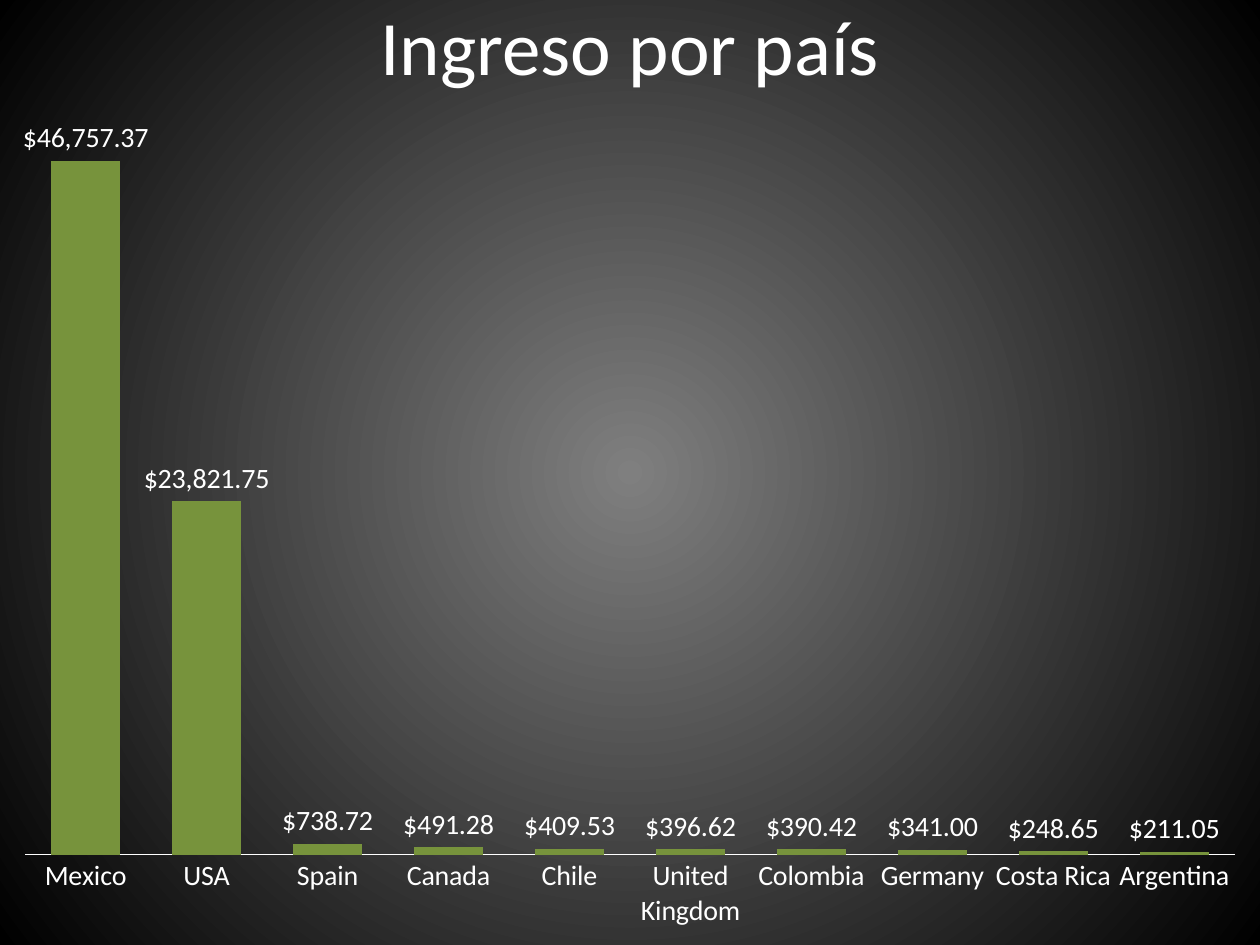
"""Build a slide with a column chart of income by country."""
from lxml import etree
from pptx import Presentation
from pptx.chart.data import CategoryChartData
from pptx.dml.color import RGBColor
from pptx.enum.chart import XL_CHART_TYPE, XL_LABEL_POSITION, XL_TICK_MARK
from pptx.enum.text import MSO_ANCHOR, PP_ALIGN
from pptx.oxml.ns import qn
from pptx.util import Pt

COLUMNS = XL_CHART_TYPE.COLUMN_CLUSTERED
OUTSIDE_END = XL_LABEL_POSITION.OUTSIDE_END
NO_TICKS = XL_TICK_MARK.NONE
MIDDLE = MSO_ANCHOR.MIDDLE
CENTER = PP_ALIGN.CENTER

COLORS = {"center": "7F7F7F", "edge": "000000", "text": "FFFFFF", "bars": "77933C"}
FONT = "Calibri"
MONEY = '"$"#,##0.00'
INCOME = {
    "Mexico": 46757.37,
    "USA": 23821.75,
    "Spain": 738.72,
    "Canada": 491.28,
    "Chile": 409.53,
    "United Kingdom": 396.62,
    "Colombia": 390.42,
    "Germany": 341.00,
    "Costa Rica": 248.65,
    "Argentina": 211.05,
}


def style_font(font, size):
    font.name = FONT
    font.size = Pt(size)
    font.color.rgb = RGBColor.from_string(COLORS["text"])


presentation = Presentation()
presentation.slide_width, presentation.slide_height = Pt(720), Pt(540)
slide = presentation.slides.add_slide(presentation.slide_layouts[5])

backdrop = slide.background.fill
backdrop.gradient()
for stop, name, position in zip(backdrop.gradient_stops, ("center", "edge"), (0, 1)):
    stop.color.rgb = RGBColor.from_string(COLORS[name])
    stop.position = position
gradient = slide.element.find(".//" + qn("a:gradFill"))
gradient.remove(gradient.find(qn("a:lin")))
circle = etree.SubElement(gradient, qn("a:path"), {"path": "circle"})
etree.SubElement(circle, qn("a:fillToRect"), dict.fromkeys("ltrb", "50000"))

heading = slide.shapes.title
heading.left, heading.top, heading.width, heading.height = Pt(36), Pt(-19.44), Pt(648), Pt(90)
heading.text_frame.text = "Ingreso por país"
heading.text_frame.vertical_anchor = MIDDLE
heading_line = heading.text_frame.paragraphs[0]
heading_line.alignment = CENTER
style_font(heading_line.font, 44)

income_data = CategoryChartData(number_format=MONEY)
income_data.categories = list(INCOME)
income_data.add_series("Series 1", list(INCOME.values()))
income_chart = slide.shapes.add_chart(
    COLUMNS, Pt(0), Pt(54.72), Pt(720), Pt(485.28), income_data
).chart
style_font(income_chart.font, 10)
income_chart.has_title = False
income_chart.has_legend = False

countries = income_chart.category_axis
countries.major_tick_mark = countries.minor_tick_mark = NO_TICKS
countries.format.line.color.rgb = RGBColor.from_string(COLORS["text"])
countries.format.line.width = Pt(0.75)
style_font(countries.tick_labels.font, 16)

amounts = income_chart.value_axis
amounts.minimum_scale, amounts.maximum_scale = 0, 50000
amounts.has_major_gridlines = False
amounts.tick_labels.number_format = MONEY
amounts.tick_labels.number_format_is_linked = False
amounts.visible = False

bars = income_chart.plots[0]
bars.gap_width = 75
bars.vary_by_categories = False
income = bars.series[0]
income.invert_if_negative = False
income.format.fill.solid()
income.format.fill.fore_color.rgb = RGBColor.from_string(COLORS["bars"])

labels = income.data_labels
labels.show_value = True
labels.number_format = MONEY
labels.number_format_is_linked = False
labels.position = OUTSIDE_END
style_font(labels.font, 16)

presentation.save("out.pptx")
